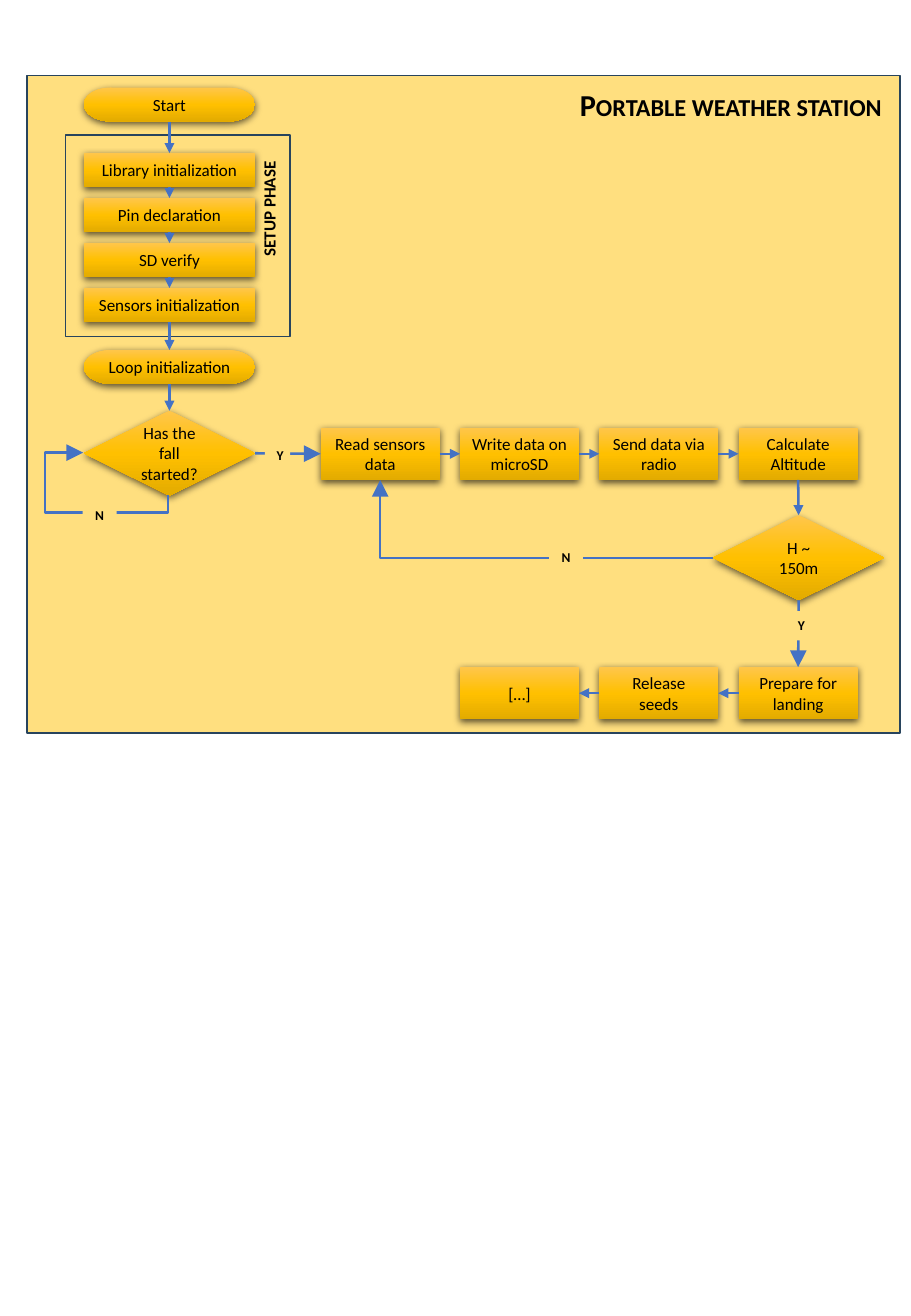
from pptx import Presentation
from pptx.dml.color import RGBColor
from pptx.enum.shapes import MSO_CONNECTOR, MSO_SHAPE
from pptx.enum.text import MSO_ANCHOR, MSO_AUTO_SIZE, PP_ALIGN
from pptx.oxml import parse_xml
from pptx.oxml.ns import nsdecls, qn
from pptx.util import Inches, Pt
from lxml import etree

RECT, PROCESS = MSO_SHAPE.RECTANGLE, MSO_SHAPE.FLOWCHART_PROCESS
TERMINATOR, DECISION = MSO_SHAPE.FLOWCHART_TERMINATOR, MSO_SHAPE.FLOWCHART_DECISION
STRAIGHT, ELBOW = MSO_CONNECTOR.STRAIGHT, MSO_CONNECTOR.ELBOW
CENTER, RIGHT = PP_ALIGN.CENTER, PP_ALIGN.RIGHT
TOP_SIDE, LEFT_SIDE, BOTTOM_SIDE, RIGHT_SIDE = range(4)

AMBER = RGBColor(0xFF, 0xC0, 0x00)
PALE = RGBColor(0xFF, 0xDF, 0x7F)
NAVY = RGBColor(0x28, 0x44, 0x5D)
BLUE = RGBColor(0x44, 0x72, 0xC4)
BLACK = RGBColor(0, 0, 0)
GRADIENT = [(0, RGBColor(0xFF, 0xC6, 0x4B)), (50, AMBER), (100, RGBColor(0xE3, 0xAB, 0x00))]
FONT, BODY_PT, LABEL_PT, TITLE_PT = "Calibri", 10.1, 8, 18

# Content
TITLE = "Portable weather station"
PHASE = "SETUP PHASE"
SETUP = ["Library initialization", "Pin declaration", "SD verify", "Sensors initialization"]
START, LOOP = "Start", "Loop initialization"
FALL, HEIGHT = "Has the fall started?", "H ~ 150m"
FLIGHT = ["Read sensors data", "Write data on microSD", "Send data via radio", "Calculate Altitude"]
LANDING = ["Prepare for landing", "Release seeds", "[…]"]
LABELS = [("Y", 2.18, 3.63, 0.21), ("N", 0.68, 4.12, 0.28),
          ("N", 4.52, 4.47, 0.28), ("Y", 6.47, 5.03, 0.21)]

# Grid, in inches
STEP_X, STEP_W, STEP_H = 0.69, 1.41, 0.28
SETUP_Y, SETUP_PITCH = 1.26, 0.37
BOX_X, BOX_PITCH, BOX_W, BOX_H = 2.64, 1.147, 0.98, 0.43
FLIGHT_Y, LANDING_Y, DIAMOND_H = 3.52, 5.49, 0.7

# (text, kind, left, top, width, height)
NODES = [(START, TERMINATOR, STEP_X, 0.72, STEP_W, STEP_H),
         (LOOP, TERMINATOR, STEP_X, 2.88, STEP_W, STEP_H),
         (FALL, DECISION, STEP_X, 3.38, STEP_W, DIAMOND_H),
         (HEIGHT, DECISION, 5.87, 4.24, STEP_W, DIAMOND_H)]
NODES += [(t, PROCESS, STEP_X, SETUP_Y + i * SETUP_PITCH, STEP_W, STEP_H)
          for i, t in enumerate(SETUP)]
NODES += [(t, PROCESS, BOX_X + i * BOX_PITCH, FLIGHT_Y, BOX_W, BOX_H)
          for i, t in enumerate(FLIGHT)]
NODES += [(t, PROCESS, BOX_X + (3 - i) * BOX_PITCH, LANDING_Y, BOX_W, BOX_H)
          for i, t in enumerate(LANDING)]

# (chain of nodes, side left, side entered, arrowhead size)
CHAINS = [([START, *SETUP, LOOP, FALL], BOTTOM_SIDE, TOP_SIDE, "med"),
          ([FALL, FLIGHT[0]], RIGHT_SIDE, LEFT_SIDE, "lg"),
          (FLIGHT, RIGHT_SIDE, LEFT_SIDE, "med"),
          ([FLIGHT[-1], HEIGHT], BOTTOM_SIDE, TOP_SIDE, "med"),
          ([HEIGHT, LANDING[0]], BOTTOM_SIDE, TOP_SIDE, "lg"),
          (LANDING, LEFT_SIDE, RIGHT_SIDE, "med")]

# (left, top, width, height, preset, rotation, flipped, adjustments)
ELBOWS = [(0.86, 3.55, 0.35, 0.7, "bentConnector4", 90, True, (-0.404, 1.448)),
          (3.13, 3.95, 2.74, 0.64, "bentConnector2", 180, False, ())]


def write(s, text, size, align=CENTER, bold=False):
    tf = s.text_frame
    tf.word_wrap = True
    p = tf.paragraphs[0]
    p.alignment = align
    r = p.add_run()
    r.text = text
    r.font.name, r.font.size, r.font.bold = FONT, Pt(size), bold
    r.font.color.rgb = BLACK
    return r


def add_box(kind, *box, fill=None, line=None):
    s = slide.shapes.add_shape(kind, *map(Inches, box))
    s.shadow.inherit = False
    if fill is None:
        s.fill.background()
    else:
        s.fill.solid()
        s.fill.fore_color.rgb = fill
    if line is None:
        s.line.fill.background()
    else:
        s.line.color.rgb, s.line.width = line, Pt(1)
    return s


def add_node(text, kind, *box):
    s = add_box(kind, *box, fill=AMBER)
    spPr = s.element.spPr
    stops = "".join(f'<a:gs pos="{pos * 1000}"><a:srgbClr val="{c}"/></a:gs>' for pos, c in GRADIENT)
    spPr.replace(spPr.find(qn("a:solidFill")), parse_xml(
        f'<a:gradFill {nsdecls("a")} rotWithShape="1"><a:gsLst>{stops}</a:gsLst>'
        '<a:lin ang="5400000" scaled="0"/></a:gradFill>'))
    spPr.find(qn("a:effectLst")).append(parse_xml(
        f'<a:outerShdw {nsdecls("a")} blurRad="{Pt(4.5)}" dist="{Pt(1.5)}" dir="5400000" '
        'algn="ctr" rotWithShape="0"><a:srgbClr val="000000"><a:alpha val="63000"/>'
        '</a:srgbClr></a:outerShdw>'))
    s.text_frame.vertical_anchor = MSO_ANCHOR.MIDDLE
    write(s, text, BODY_PT)
    return s


def add_arrow(kind, head, left=0, top=0, width=0, height=0):
    c = slide.shapes.add_connector(
        kind, *map(Inches, (left, top, left + width, top + height)))
    c.line.color.rgb, c.line.width = BLUE, Pt(1.5)
    etree.SubElement(c.line._get_or_add_ln(), qn("a:tailEnd"), type="triangle", w=head, len=head)
    etree.SubElement(c.element.spPr, qn("a:effectLst"))
    return c


prs = Presentation()
prs.slide_width, prs.slide_height = Inches(7.5), Inches(10.83)
slide = prs.slides.add_slide(prs.slide_layouts[5])

# Panel and setup frame
panel = add_box(RECT, 0.22, 0.62, 7.19, 5.41, fill=AMBER, line=NAVY)
tint = panel.element.spPr.find(qn("a:solidFill"))[0]
etree.SubElement(tint, qn("a:alpha"), val="50000")
add_box(PROCESS, 0.54, 1.11, 1.85, 1.66, line=NAVY)

# Steps and decisions
nodes = {node[0]: add_node(*node) for node in NODES}

# Straight arrows
for chain, leave, enter, head in CHAINS:
    for a, b in zip(chain, chain[1:]):
        c = add_arrow(STRAIGHT, head)
        c.begin_connect(nodes[a], leave)
        c.end_connect(nodes[b], enter)

# Return loops
for left, top, width, height, preset, turn, flipped, adjustments in ELBOWS:
    c = add_arrow(ELBOW, "lg", left, top, width, height)
    xfrm = c.element.spPr.find(qn("a:xfrm"))
    xfrm.set("rot", str(turn * 60000))
    if flipped:
        xfrm.set("flipH", "1")
    geom = c.element.spPr.find(qn("a:prstGeom"))
    geom.set("prst", preset)
    for i, value in enumerate(adjustments, 1):
        etree.SubElement(geom.find(qn("a:avLst")), qn("a:gd"),
                         name=f"adj{i}", fmla=f"val {round(value * 100000)}")

# Branch labels
for text, left, top, width in LABELS:
    s = add_box(RECT, left, top, width, 0.24, fill=PALE)
    s.text_frame.vertical_anchor = MSO_ANCHOR.TOP
    write(s, text, LABEL_PT, bold=True)

# Phase name
tb = slide.shapes.add_textbox(*map(Inches, (2.08, 1.23, 0.37, 1.23)))
write(tb, PHASE, BODY_PT, RIGHT, bold=True)
tb.text_frame._txBody.bodyPr.set("vert", "vert270")

# Title, in front of the panel
title = slide.shapes.title
title.left, title.top, title.width, title.height = map(Inches, (4.23, 0.66, 3.13, 0.4))
title.text_frame.vertical_anchor = MSO_ANCHOR.TOP
title.text_frame.auto_size = MSO_AUTO_SIZE.NONE
r = write(title, TITLE, TITLE_PT, RIGHT, bold=True)
r.font._element.set("cap", "small")
title.element.getparent().append(title.element)

prs.save("out.pptx")
